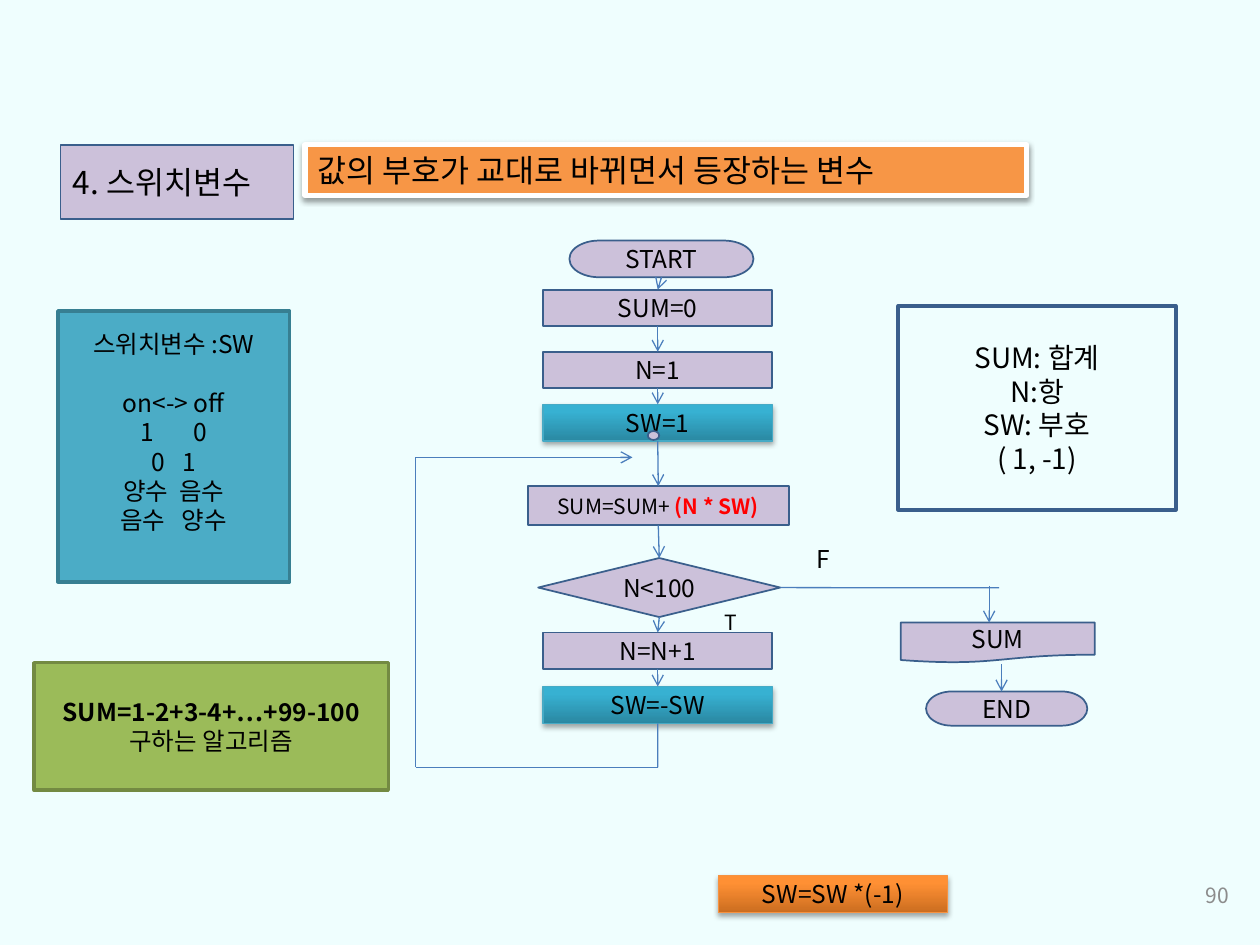
import pptx
import pptx.util
import pptx.dml.color
import pptx.enum.shapes
import pptx.enum.text
import pptx.oxml
import pptx.oxml.ns
from lxml import etree

Cm, Pt = pptx.util.Cm, pptx.util.Pt
Rgb = pptx.dml.color.RGBColor.from_string
Kind = pptx.enum.shapes.MSO_SHAPE
Align = pptx.enum.text.PP_ALIGN
Anchor = pptx.enum.text.MSO_ANCHOR
qn = pptx.oxml.ns.qn
FONT = "Noto Sans CJK KR"
HUE = {
    "back": "EFFEFE", "lilac": "CCC1DA", "navy": "3A5F8C", "wire": "4B7EBC",
    "orange": "F79646", "white": "FFFFFF", "green": "9BBB59", "moss": "738A42",
    "teal": "4BACC6", "deep": "377F92", "black": "000000", "red": "FF0000",
    "gray": "8C8C8C",
}
# Gradients: bottom, top, edge
SEA = ("2A88A2", "37B1D2", "46AAC5")
FIRE = ("CC6E20", "FF9034", "F69240")

deck = pptx.Presentation()
deck.slide_width, deck.slide_height = Cm(25.4), Cm(19.05)
slide = deck.slides.add_slide(deck.slide_layouts[6])
slide.background.fill.solid()
slide.background.fill.fore_color.rgb = Rgb(HUE["back"])


def write(shape, text, size=14, align=Align.CENTER, anchor=Anchor.MIDDLE, hue="black"):
    frame = shape.text_frame
    frame.word_wrap = True
    frame.vertical_anchor = anchor
    frame.text = text
    for para in frame.paragraphs:
        para.alignment = align
        for run in para.runs:
            run.font.size = Pt(size)
            run.font.color.rgb = Rgb(HUE[hue])
            run.font.name = FONT
            face = etree.SubElement(run.font._element, qn("a:ea"))
            face.set("typeface", FONT)


def box(kind, place, fill, edge="navy", width=1, shade=None):
    shape = slide.shapes.add_shape(kind, *map(Cm, place))
    shape.shadow.inherit = False
    if fill is None:
        shape.fill.background()
    elif isinstance(fill, tuple):
        shape.fill.gradient()
        shape.fill.gradient_angle = 90
        low, high = shape.fill.gradient_stops
        low.color.rgb, high.color.rgb = Rgb(fill[0]), Rgb(fill[1])
        low.position, high.position = 0, 0.8
    else:
        shape.fill.solid()
        shape.fill.fore_color.rgb = Rgb(HUE[fill])
    shape.line.color.rgb = Rgb(HUE.get(edge, edge))
    shape.line.width = Pt(width)
    if shade:
        drop = etree.SubElement(
            shape.element.spPr.find(qn("a:effectLst")), qn("a:outerShdw"),
            blurRad=str(Pt(3.1)), dist=str(Pt(1.7)), dir="5400000", rotWithShape="0")
        tint = etree.SubElement(drop, qn("a:srgbClr"), val=HUE["black"])
        etree.SubElement(tint, qn("a:alpha"), val=str(shade * 1000))
    return shape


# Heading
head = box(Kind.RECTANGLE, (1.22, 2.92, 4.7, 1.5), "lilac")
write(head, "4. 스위치변수", 18, Align.LEFT)
banner = box(Kind.RECTANGLE, (6.15, 2.92, 14.55, 1.02), "orange", "white", 3, 38)
write(banner, "값의 부호가 교대로 바뀌면서 등장하는 변수", 18, Align.LEFT, Anchor.TOP)

# Goal
goal = box(Kind.RECTANGLE, (0.69, 13.36, 7.14, 2.57), "green", "moss", 2)
write(goal, "SUM=1-2+3-4+…+99-100\n구하는 알고리즘")
goal.text_frame.paragraphs[0].runs[0].font.bold = True

# Switch notes
note = box(Kind.RECTANGLE, (1.17, 6.27, 4.67, 5.46), "teal", "deep", 2)
write(note, "스위치변수 :SW\non<-> off\n 0\n0   1\n양수  음수\n음수   양수")
note.text_frame.margin_bottom = Cm(0.72)
lines = note.text_frame.paragraphs
lines[1].space_before = Pt(17)
props = lines[2]._p.get_or_add_pPr()
props.set("marL", str(Cm(0.97)))
props.set("indent", str(-Cm(0.97)))
etree.SubElement(props, qn("a:buAutoNum"), type="arabicPlain")

# Flow chart: main column
MID, WIDE, HIGH = 13.26, 4.62, 0.74
LEFT = MID - WIDE / 2
step = Kind.FLOWCHART_PROCESS
chain = []
for kind, place, text, fill in [
    (Kind.FLOWCHART_TERMINATOR, (11.48, 4.85, 3.71, HIGH), "START", "lilac"),
    (step, (LEFT, 5.84, WIDE, HIGH), "SUM=0", "lilac"),
    (step, (LEFT, 7.09, WIDE, HIGH), "N=1", "lilac"),
    (step, (LEFT, 8.15, WIDE, HIGH), "SW=1", SEA),
    (step, (10.64, 9.8, 5.26, 0.79), "SUM=SUM+ ", "lilac"),
    (Kind.FLOWCHART_DECISION, (10.85, 11.25, 4.88, 1.19), "N<100", "lilac"),
    (step, (LEFT, 12.75, WIDE, HIGH), "N=N+1", "lilac"),
    (step, (LEFT, 13.84, WIDE, HIGH), "SW=-SW", SEA),
    (step, (14.48, 17.65, WIDE, HIGH), "SW=SW *(-1)", FIRE),
    (Kind.FLOWCHART_DOCUMENT, (18.16, 12.55, 3.91, 0.81), "SUM", "lilac"),
    (Kind.FLOWCHART_TERMINATOR, (18.67, 13.94, 3.25, 0.69), "END", "lilac"),
]:
    if isinstance(fill, tuple):
        shape = box(kind, place, fill, fill[2], 0.75, 35)
    else:
        shape = box(kind, place, fill)
    write(shape, text, 12 if text == "SUM=SUM+ " else 14)
    chain.append(shape)
add, test, last = chain[4], chain[5], chain[7]
term = add.text_frame.paragraphs[0].add_run()
term.text = "(N * SW)"
term.font.size = Pt(12)
term.font.bold = True
term.font.color.rgb = Rgb(HUE["red"])
term.font.name = FONT
etree.SubElement(term.font._element, qn("a:ea")).set("typeface", FONT)

# Wires: ends, arrowhead, joined start and end
BACK, TOP, BASE = 8.38, 9.22, 15.47
wires = [
    ((15.73, 11.85, 20.14, 11.85), False, (test, 3), None),
    ((19.94, 11.81, 19.94, 12.55), True, None, None),
    ((20.19, 13.39, 20.19, 13.94), True, None, None),
    ((MID, 14.58, MID, BASE), False, (last, 2), None),
    ((MID, BASE, BACK, BASE), False, None, None),
    ((BACK, BASE, BACK, TOP), False, None, None),
    ((BACK, TOP, 12.75, TOP), True, None, None),
]
for above, below in zip(chain[:7], chain[1:8]):
    wires.append(((MID, 0, MID, 1), True, (above, 2), (below, 0)))
for ends, arrow, start, stop in wires:
    wire = slide.shapes.add_connector(
        pptx.enum.shapes.MSO_CONNECTOR.STRAIGHT, *map(Cm, ends))
    if start:
        wire.begin_connect(*start)
    if stop:
        wire.end_connect(*stop)
    wire.line.color.rgb = Rgb(HUE["wire"])
    wire.line.width = Pt(0.75)
    if arrow:
        etree.SubElement(wire.line._get_or_add_ln(), qn("a:tailEnd"), type="arrow")
    etree.SubElement(wire._element.spPr, qn("a:effectLst"))

# Joint
box(Kind.FLOWCHART_CONNECTOR, (13.06, 8.69, 0.23, 0.18), "lilac")

# Branch labels and page number
for place, text, size, align, anchor, hue in [
    ((16.21, 10.85, 1.65, 0.94), "F", 14, Align.LEFT, Anchor.TOP, "black"),
    ((14.35, 12.17, 1.65, 0.84), "T", 12, Align.LEFT, Anchor.TOP, "black"),
    ((19.1, 17.53, 5.92, 1.02), "90", 12, Align.RIGHT, Anchor.MIDDLE, "gray"),
]:
    label = slide.shapes.add_textbox(*map(Cm, place))
    write(label, text, size, align, anchor, hue)

# Legend
key = box(Kind.RECTANGLE, (18.11, 6.17, 5.59, 4.11), None, "navy", 2.25)
write(key, "SUM: 합계\nN:항\nSW: 부호\n( 1, -1)", 16)

deck.save("out.pptx")
